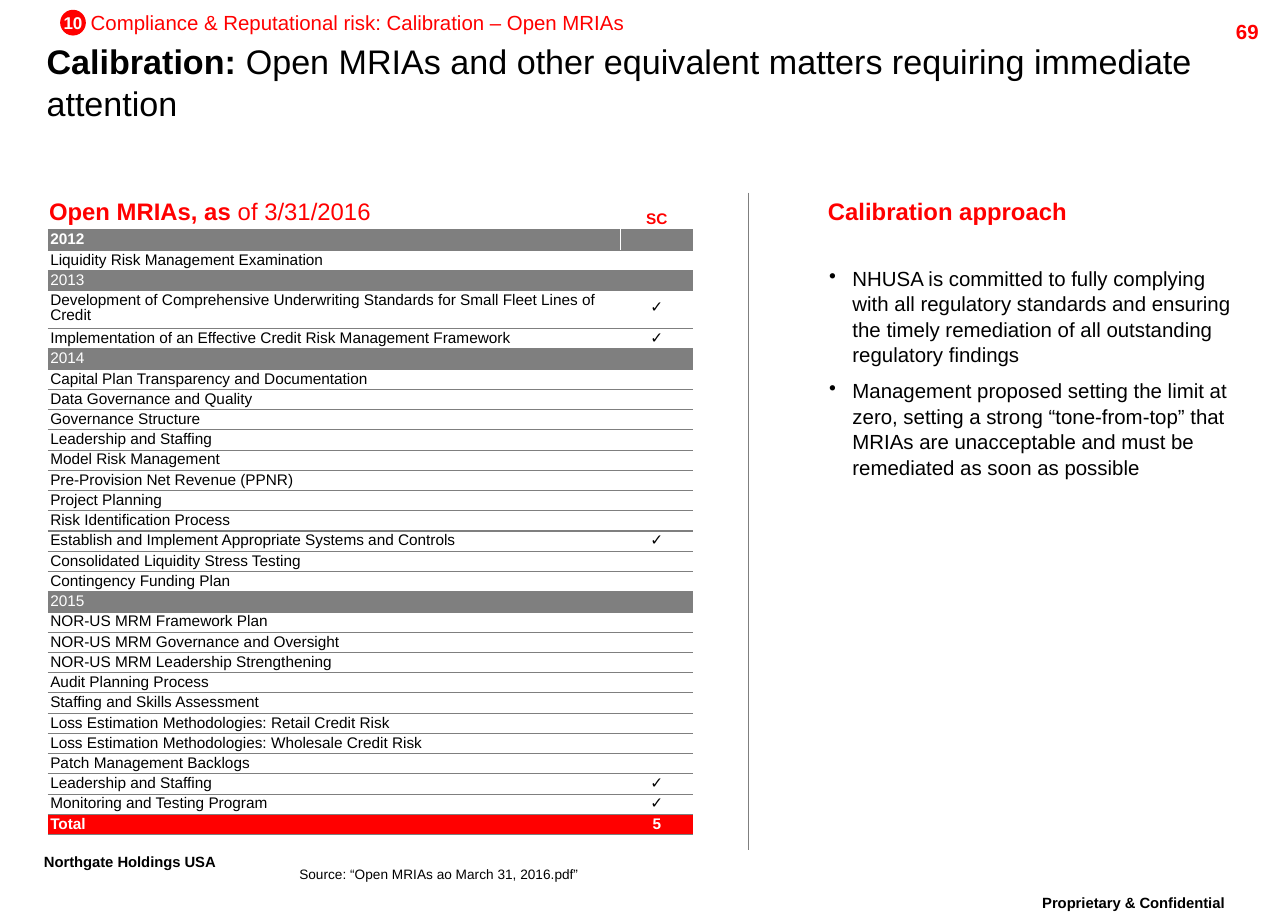
from lxml.etree import SubElement
from pptx import Presentation
from pptx.dml.color import RGBColor
from pptx.enum.shapes import MSO_CONNECTOR, MSO_SHAPE
from pptx.enum.text import MSO_ANCHOR, MSO_AUTO_SIZE, PP_ALIGN
from pptx.oxml.ns import qn
from pptx.util import Inches, Pt

RED = RGBColor(0xFF, 0, 0)
BLACK = RGBColor(0, 0, 0)
WHITE = RGBColor(0xFF, 0xFF, 0xFF)
GREY = RGBColor(0x7F, 0x7F, 0x7F)
UNIT = Inches(0.1)
COLS, ROWS = 105, 75
TICK = "✓"
LEAD = 1.04

ITEMS = [
    ("", "SC"),
    ("2012", ""),
    ("Liquidity Risk Management Examination", ""),
    ("2013", ""),
    ("Development of Comprehensive Underwriting Standards for Small Fleet Lines of Credit", TICK),
    ("Implementation of an Effective Credit Risk Management Framework", TICK),
    ("2014", ""),
    ("Capital Plan Transparency and Documentation", ""),
    ("Data Governance and Quality", ""),
    ("Governance Structure", ""),
    ("Leadership and Staffing", ""),
    ("Model Risk Management", ""),
    ("Pre-Provision Net Revenue (PPNR)", ""),
    ("Project Planning", ""),
    ("Risk Identification Process", ""),
    ("Establish and Implement Appropriate Systems and Controls", TICK),
    ("Consolidated Liquidity Stress Testing", ""),
    ("Contingency Funding Plan", ""),
    ("2015", ""),
    ("NOR-US MRM Framework Plan", ""),
    ("NOR-US MRM Governance and Oversight", ""),
    ("NOR-US MRM Leadership Strengthening", ""),
    ("Audit Planning Process", ""),
    ("Staffing and Skills Assessment", ""),
    ("Loss Estimation Methodologies: Retail Credit Risk", ""),
    ("Loss Estimation Methodologies: Wholesale Credit Risk", ""),
    ("Patch Management Backlogs", ""),
    ("Leadership and Staffing", TICK),
    ("Monitoring and Testing Program", TICK),
    ("Total", "5"),
]
POINTS = [
    "NHUSA is committed to fully complying with all regulatory standards and ensuring "
    "the timely remediation of all outstanding regulatory findings",
    "Management proposed setting the limit at zero, setting a strong “tone-from-top” that "
    "MRIAs are unacceptable and must be remediated as soon as possible",
]


def grid(*cells):
    """Turn grid columns and rows into slide lengths."""
    return [int(cell * UNIT) for cell in cells]


def put(para, text, size, color, bold=False, align=PP_ALIGN.LEFT, lead=None):
    """Write a paragraph in one style."""
    para.text = text
    para.alignment = align
    para.line_spacing = lead
    font = para.font
    font.name, font.size, font.bold = "Arial", Pt(size), bold
    font.color.rgb = color


def blend(para, strong, plain, size, color, lead=None):
    """Write a paragraph with a bold start and a plain end."""
    put(para, "", size, color, None, lead=lead)
    for text, bold in ((strong, True), (plain, False)):
        run = para.add_run()
        run.text, run.font.bold = text, bold


def trim(frame, pad=0, anchor=MSO_ANCHOR.TOP):
    """Set the insets, wrap and anchor of a text frame."""
    frame.margin_left = frame.margin_right = Inches(pad)
    frame.margin_top = frame.margin_bottom = Inches(pad / 2)
    frame.word_wrap = True
    frame.auto_size = MSO_AUTO_SIZE.NONE
    frame.vertical_anchor = anchor


def box(slide, area, pad=0, anchor=MSO_ANCHOR.TOP):
    """Add a text box and return its frame."""
    frame = slide.shapes.add_textbox(*grid(*area)).text_frame
    trim(frame, pad, anchor)
    return frame


def label(slide, area, text, size, color, bold=False, pad=0, align=PP_ALIGN.LEFT):
    """Add a text box with one line."""
    put(box(slide, area, pad).paragraphs[0], text, size, color, bold, align)


def footer(slide, area, text, align):
    """Add a raised bold footer."""
    para = box(slide, area, 0.1).paragraphs[0]
    put(para, text, 15, BLACK, True, align, 0.86)
    para.runs[0]._r.get_or_add_rPr().set("baseline", "30000")


def edge(cell, side, color, width):
    """Draw or clear one border of a cell."""
    line = SubElement(cell._tc.get_or_add_tcPr(), qn("a:ln" + side), w=str(Pt(width)))
    if color is None:
        SubElement(line, qn("a:noFill"))
    else:
        fill = SubElement(line, qn("a:solidFill"))
        SubElement(fill, qn("a:srgbClr"), val=str(color))


def style(cell, text, row, col, tall):
    """Write and format one table cell."""
    head, year, total = row == 0, ITEMS[row][0].isdigit(), row == len(ITEMS) - 1
    edge(cell, "L", WHITE if row == 1 and col else None, 0.5)
    edge(cell, "R", WHITE if row == 1 else None, 0.5)
    edge(cell, "T", None if head else GREY, 0.75)
    edge(cell, "B", GREY, 0.75)
    if year or total:
        cell.fill.solid()
        cell.fill.fore_color.rgb = RED if total else GREY
    else:
        cell.fill.background()
    cell.margin_left = cell.margin_right = cell.margin_bottom = Inches(0.02)
    cell.margin_top = 0
    cell.vertical_anchor = MSO_ANCHOR.MIDDLE if tall else MSO_ANCHOR.BOTTOM
    color = RED if head else WHITE if year or total else BLACK
    para = cell.text_frame.paragraphs[0]
    align = PP_ALIGN.CENTER if col else PP_ALIGN.LEFT
    put(para, text, 9, color, head or total or row == 1, align, 0.86)
    if not text:
        para._p.get_or_add_endParaRPr().set("sz", "900")


def matters(slide):
    """Add the table of open matters by year."""
    area = grid(3.9, 17.1, 52.6, 51)
    table = slide.shapes.add_table(len(ITEMS), 2, *area).table
    table.first_row = table.horz_banding = False
    for col, width in zip(table.columns, grid(46.7, 5.9)):
        col.width = width
    for row, pair in enumerate(ITEMS):
        tall = len(pair[0]) > 75
        table.rows[row].height = Inches(0.31) if tall else Pt(11.9)
        for col, text in enumerate(pair):
            style(table.cell(row, col), text, row, col, tall)
        if row > 1 and pair[0].isdigit():
            table.cell(row, 0).merge(table.cell(row, 1))


def rule(slide, col, top, end):
    """Add the upright line between the two halves."""
    line = slide.shapes.add_connector(MSO_CONNECTOR.STRAIGHT, *grid(col, top, col, end))
    line.line.color.rgb, line.line.width = GREY, Pt(0.75)
    SubElement(line._element.spPr, qn("a:effectLst"))


def badge(slide, area, text):
    """Add the round section number."""
    disc = slide.shapes.add_shape(MSO_SHAPE.OVAL, *grid(*area))
    disc.shadow.inherit = False
    disc.fill.solid()
    disc.fill.fore_color.rgb = RED
    disc.line.fill.background()
    trim(disc.text_frame, 0, MSO_ANCHOR.MIDDLE)
    disc.text_frame.word_wrap = False
    put(disc.text_frame.paragraphs[0], text, 10, WHITE, True, PP_ALIGN.CENTER)


def bullets(slide, area):
    """Add the bulleted approach."""
    frame = box(slide, area)
    for num, text in enumerate(POINTS):
        para = frame.add_paragraph() if num else frame.paragraphs[0]
        props = para._p.get_or_add_pPr()
        props.set("marL", str(Inches(0.19)))
        props.set("indent", str(-Inches(0.19)))
        SubElement(props, qn("a:buChar"), char="•")
        put(para, text, 12, BLACK, lead=LEAD)
        para.space_before = Pt(6 if num else 0)


def main():
    """Build and save the slide."""
    deck = Presentation()
    deck.slide_width, deck.slide_height = grid(COLS, ROWS)
    slide = deck.slides.add_slide(deck.slide_layouts[5])
    title = slide.shapes.title
    title.left, title.top, title.width, title.height = grid(3.8, 4.2, 94.8, 4.8)
    trim(title.text_frame, 0, MSO_ANCHOR.MIDDLE)
    blend(title.text_frame.paragraphs[0], "Calibration: ",
          "Open MRIAs and other equivalent matters requiring immediate attention",
          20, BLACK, LEAD)
    footer(slide, (81.5, 72.5, 21.8, 3.5), "Proprietary & Confidential", PP_ALIGN.CENTER)
    footer(slide, (2.6, 69.1, 19.1, 3.5), "Northgate Holdings USA", PP_ALIGN.LEFT)
    label(slide, (93.6, 1.1, 10, 2.4), "69", 12, RED, True, 0.1, PP_ALIGN.RIGHT)
    matters(slide)
    rule(slide, 61, 15.7, 69.3)
    blend(box(slide, (4, 16, 50, 3.7)).paragraphs[0],
          "Open MRIAs, as", " of 3/31/2016", 14, RED)
    bullets(slide, (67.6, 21.6, 33.6, 17))
    label(slide, (24.4, 70.6, 61, 1.3), "Source: “Open MRIAs ao March 31, 2016.pdf”", 8, BLACK)
    label(slide, (7.4, 0.8, 60, 2),
          "Compliance & Reputational risk: Calibration – Open MRIAs", 12, RED)
    badge(slide, (4.9, 0.8, 2.1, 2.1), "10")
    label(slide, (67.5, 16, 32.6, 2.4), "Calibration approach", 14, RED, True)
    deck.save("out.pptx")


if __name__ == "__main__":
    main()
